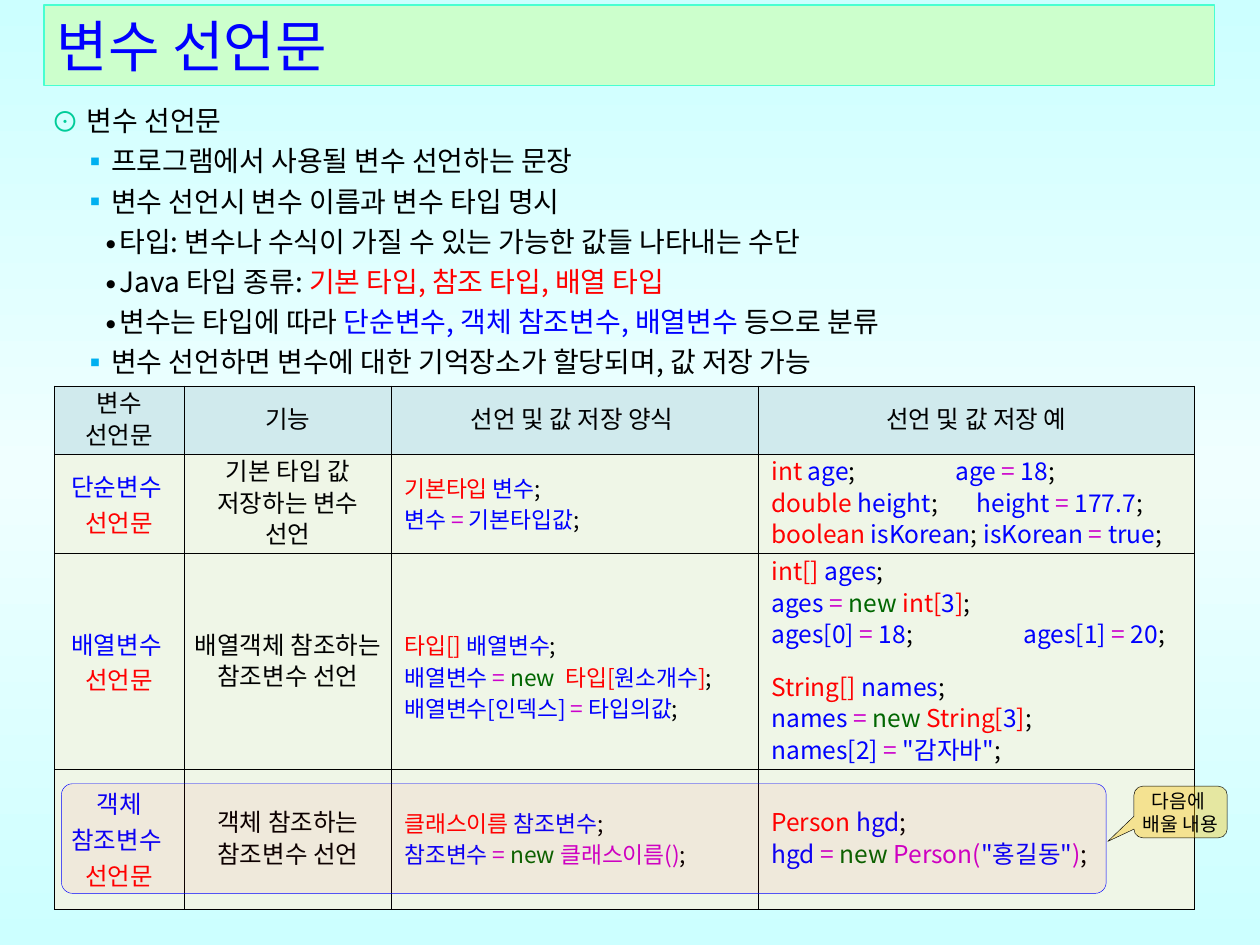
"""Build a slide on Java variable declarations with a syntax table."""
import copy

import lxml.etree
import pptx
import pptx.dml.color
import pptx.enum.shapes
import pptx.enum.text
import pptx.oxml.ns
import pptx.util

Cm, Pt = pptx.util.Cm, pptx.util.Pt
qn = pptx.oxml.ns.qn
SHAPE = pptx.enum.shapes.MSO_SHAPE
ALIGN = pptx.enum.text.PP_ALIGN
MIDDLE = pptx.enum.text.MSO_ANCHOR.MIDDLE
FONT = "Noto Sans CJK KR"
COLOURS = {
    "black": "000000", "blue": "0000FF", "red": "FF0000", "magenta": "CC00CC",
    "green": "006600", "teal": "00CC99", "sky": "00B0F0", "aqua": "CCFFFF",
    "pale": "F0FFFF", "mint": "CCFFCC", "turquoise": "47FFD1",
    "header": "D0EAED", "body": "EFF6E7", "amber": "FFC000",
}
RGB = {name: pptx.dml.color.RGBColor.from_string(code) for name, code in COLOURS.items()}


def write(paragraph, markup, size, align=ALIGN.LEFT, spacing=None):
    """Fill a paragraph from text marked with <colour> tags."""
    paragraph.alignment = align
    if spacing:
        paragraph.line_spacing = Pt(spacing)
    paragraph.font.size = Pt(size)
    paragraph.font.name = FONT
    defaults = paragraph._p.pPr.find(qn("a:defRPr"))
    lxml.etree.SubElement(defaults, qn("a:ea"), typeface=FONT)
    for piece in markup.split("<")[1:]:
        colour, text = piece.split(">")
        run = paragraph.add_run()
        run.text = text
        run.font.color.rgb = RGB[colour]


def add_panel(kind, box, fill, line, width, opacity=100):
    """Add a filled and outlined shape without a shadow."""
    panel = slide.shapes.add_shape(kind, *[Cm(length) for length in box])
    panel.shadow.inherit = False
    panel.fill.solid()
    panel.fill.fore_color.rgb = RGB[fill]
    panel.line.color.rgb = RGB[line]
    panel.line.width = Pt(width)
    if opacity < 100:
        tint = panel._element.spPr.find(qn("a:solidFill"))[0]
        lxml.etree.SubElement(tint, qn("a:alpha"), val=str(opacity * 1000))
    return panel


deck = pptx.Presentation()
deck.slide_width, deck.slide_height = Cm(25.4), Cm(19.05)
slide = deck.slides.add_slide(deck.slide_layouts[6])

backdrop = slide.background.fill
backdrop.gradient()
backdrop.gradient_angle = 90
stop_list = slide._element.find(".//" + qn("a:gsLst"))
stop_list.insert(1, copy.deepcopy(stop_list[0]))
for stop, position, colour in zip(backdrop.gradient_stops, (0, 0.5, 1), ("aqua", "pale", "aqua")):
    stop.position = position
    stop.color.rgb = RGB[colour]

title = add_panel(SHAPE.RECTANGLE, (0.89, 0.1, 23.6, 1.63), "mint", "turquoise", 0.75)
write(title.text_frame.paragraphs[0], "<blue>변수 선언문", 32)

LEVELS = [("⊙", "teal", 0.71, 0.71), ("▪", "sky", 1.2, 0.6), ("∙", "black", 1.32, 0.3)]
OUTLINE = [
    (0, "<black>변수 선언문"),
    (1, "<black>프로그램에서 사용될 변수 선언하는 문장"),
    (1, "<black>변수 선언시 변수 이름과 변수 타입 명시"),
    (2, "<black>타입: 변수나 수식이 가질 수 있는 가능한 값들 나타내는 수단"),
    (2, "<black>Java 타입 종류: <red>기본 타입, 참조 타입, 배열 타입"),
    (2, "<black>변수는 타입에 따라 <blue>단순변수, 객체 참조변수, 배열변수 <black>등으로 분류"),
    (1, "<black>변수 선언하면 변수에 대한 기억장소가 할당되며, 값 저장 가능"),
]
outline = slide.shapes.add_textbox(Cm(0.79), Cm(1.83), Cm(23.6), Cm(5.9)).text_frame
outline.word_wrap = True
for number, (level, markup) in enumerate(OUTLINE):
    paragraph = outline.add_paragraph() if number else outline.paragraphs[0]
    mark, colour, margin, hang = LEVELS[level]
    properties = paragraph._p.get_or_add_pPr()
    properties.set("marL", str(Cm(margin)))
    properties.set("indent", str(-Cm(hang)))
    bullet_colour = lxml.etree.SubElement(properties, qn("a:buClr"))
    lxml.etree.SubElement(bullet_colour, qn("a:srgbClr"), val=COLOURS[colour])
    lxml.etree.SubElement(properties, qn("a:buFont"), typeface=FONT)
    lxml.etree.SubElement(properties, qn("a:buChar"), char=mark)
    write(paragraph, markup, 16, spacing=23)

COLUMN_WIDTHS = [2.63, 4.17, 7.4, 8.79]
ROW_HEIGHTS = [1.35, 2.01, 4.34, 2.82]
TAB_STOPS = {"height": 4.14, "ages[0]": 5.08, "age": 3.71}
DECLARATIONS = [
    [["<black>변수 선언문"], ["<black>기능"],
     ["<black>선언 및 값 저장 양식 "], ["<black>선언 및 값 저장 예"]],
    [["<blue>단순변수 ", "<red>선언문"],
     ["<black>기본 타입 값 저장하는 변수 선언"],
     ["<red>기본타입 <blue>변수<black>;",
      "<blue>변수 <magenta>= <blue>기본타입값<black>;"],
     ["<red>int <blue>age<black>;\t<blue>age <magenta>= <blue>18<black>;",
      "<red>double <blue>height<black>;\t<blue>height <magenta>= <blue>177.7<black>;",
      "<red>boolean <blue>isKorean<black>; <blue>isKorean <magenta>= <blue>true<black>;"]],
    [["<blue>배열변수 ", "<red>선언문"],
     ["<black>배열객체 참조하는 참조변수 선언"],
     ["<red>타입[] <blue>배열변수<black>;",
      "<blue>배열변수 <magenta>= <green>new  <red>타입[<blue>원소개수<red>]<black>;",
      "<blue>배열변수[인덱스] <magenta>= <blue>타입의값<black>;"],
     ["<red>int[] <blue>ages<black>;",
      "<blue>ages <magenta>= <green>new <red>int[<blue>3<red>]<black>;",
      "<blue>ages[0] <magenta>= <blue>18<black>;\t<blue>ages[1] <magenta>= <blue>20<black>;",
      "<red>String[] <blue>names<black>;",
      "<blue>names <magenta>= <green>new <red>String[<blue>3<red>]<black>;",
      "<blue>names[2] <magenta>= <blue>\"감자바\"<black>;"]],
    [["<blue>객체 참조변수 ", "<red>선언문"],
     ["<black>객체 참조하는 참조변수 선언"],
     ["<red>클래스이름 <blue>참조변수<black>;",
      "<blue>참조변수 <magenta>= <green>new <magenta>클래스이름()<black>;"],
     ["<red>Person <blue>hgd<black>;",
      "<blue>hgd <magenta>= <green>new <magenta>Person(<blue>\"홍길동\"<magenta>)<black>;"]],
]
declarations = slide.shapes.add_table(
    4, 4, Cm(1.09), Cm(7.78), Cm(sum(COLUMN_WIDTHS)), Cm(sum(ROW_HEIGHTS))).table
for column, width in zip(declarations.columns, COLUMN_WIDTHS):
    column.width = Cm(width)
for row, height in zip(declarations.rows, ROW_HEIGHTS):
    row.height = Cm(height)

for row, entries in enumerate(DECLARATIONS):
    for column, lines in enumerate(entries):
        cell = declarations.cell(row, column)
        cell.vertical_anchor = MIDDLE
        cell.margin_left = cell.margin_right = Cm(0.18)
        cell.margin_top = cell.margin_bottom = Cm(0.05)
        if (row, column) == (2, 2):
            cell.margin_top = Cm(0.69)
        for side in ("lnL", "lnR", "lnT", "lnB"):
            border = lxml.etree.SubElement(
                cell._tc.get_or_add_tcPr(), qn("a:" + side), w=str(Pt(0.28)))
            ink = lxml.etree.SubElement(border, qn("a:solidFill"))
            lxml.etree.SubElement(ink, qn("a:srgbClr"), val=COLOURS["black"])
        cell.fill.solid()
        cell.fill.fore_color.rgb = RGB["body" if row else "header"]
        is_code = row > 0 and column > 1
        for number, markup in enumerate(lines):
            frame = cell.text_frame
            paragraph = frame.add_paragraph() if number else frame.paragraphs[0]
            properties = paragraph._p.get_or_add_pPr()
            if is_code:
                properties.set("marL", str(Cm(0.08)))
            if "\t" in markup:
                position = next(at for word, at in TAB_STOPS.items() if word in markup)
                stops = lxml.etree.SubElement(properties, qn("a:tabLst"))
                lxml.etree.SubElement(stops, qn("a:tab"), pos=str(Cm(position)), algn="l")
            if markup.startswith("<red>String"):
                paragraph.space_before = Pt(12)
            write(paragraph, markup, 13 if is_code and column == 2 else 14,
                  ALIGN.LEFT if is_code else ALIGN.CENTER,
                  18 if column or not row else None)

upcoming = add_panel(SHAPE.ROUNDED_RECTANGLE, (1.24, 15.8, 21.06, 2.21), "red", "blue", 0.25, 5)
upcoming.adjustments[0] = 0.1

callout = add_panel(SHAPE.ROUNDED_RECTANGULAR_CALLOUT, (22.86, 15.85, 1.88, 1.04),
                    "amber", "black", 0.25, 37)
for index, value in enumerate((-0.78, 0.57, 0.17)):
    callout.adjustments[index] = value
note = callout.text_frame
note.margin_left = note.margin_right = note.margin_top = note.margin_bottom = 0
write(note.paragraphs[0], "<black>다음에 ", 11, ALIGN.CENTER)
write(note.add_paragraph(), "<black>배울 내용", 11, ALIGN.CENTER)

deck.save("out.pptx")
